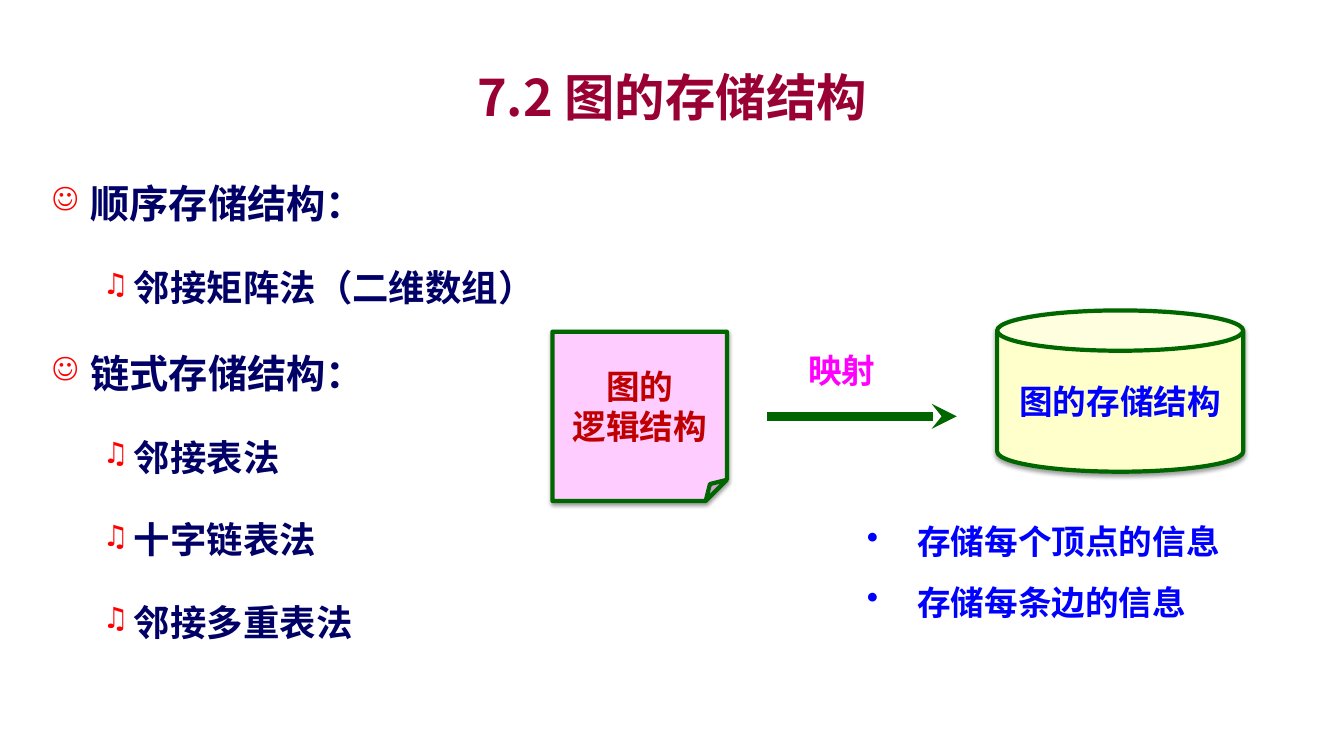
from lxml import etree
from pptx import Presentation
from pptx.dml.color import RGBColor
from pptx.enum.shapes import MSO_CONNECTOR, MSO_SHAPE
from pptx.enum.text import MSO_ANCHOR, PP_ALIGN
from pptx.oxml.ns import qn
from pptx.util import Inches, Pt

CRIMSON = RGBColor(0x99, 0x00, 0x33)
NAVY = RGBColor(0x00, 0x00, 0x66)
BLUE = RGBColor(0x00, 0x00, 0xFF)
DARK_RED = RGBColor(0xC0, 0x00, 0x00)
MAGENTA = RGBColor(0xFF, 0x00, 0xFF)
GREEN = RGBColor(0x00, 0x66, 0x00)
PINK = RGBColor(0xFF, 0xCC, 0xFF)
CREAM = RGBColor(0xFF, 0xFF, 0xCC)
RED = RGBColor(0xFF, 0x00, 0x00)
HEITI = "Noto Sans CJK SC"
TIMES = "Times New Roman"


def write_text(shape, text, size, color, font=TIMES, align=PP_ALIGN.CENTER):
    shape.text_frame.text = text
    for paragraph in shape.text_frame.paragraphs:
        paragraph.alignment = align
        for run in paragraph.runs:
            run.font.size = Pt(size)
            run.font.bold = True
            run.font.name = font
            run.font.color.rgb = color
            east_asian = etree.SubElement(run.font._element, qn("a:ea"))
            east_asian.set("typeface", HEITI)


def add_bullet(paragraph, character, margin, hanging, color=None, percent=100):
    properties = paragraph._p.get_or_add_pPr()
    properties.set("marL", str(Inches(margin)))
    properties.set("indent", str(-Inches(hanging)))
    if color is not None:
        bullet_color = etree.SubElement(properties, qn("a:buClr"))
        etree.SubElement(bullet_color, qn("a:srgbClr"), val=str(color))
    etree.SubElement(properties, qn("a:buSzPct"), val=str(percent * 1000))
    etree.SubElement(properties, qn("a:buChar"), char=character)


presentation = Presentation()
presentation.slide_width = Inches(13.33)
presentation.slide_height = Inches(7.5)
slide = presentation.slides.add_slide(presentation.slide_layouts[6])
shapes = slide.shapes

# Title
title = shapes.add_textbox(Inches(1), Inches(0.58), Inches(11.33), Inches(0.75))
title.text_frame.word_wrap = True
title.text_frame.vertical_anchor = MSO_ANCHOR.MIDDLE
write_text(title, "7.2 图的存储结构", 36, CRIMSON, HEITI)

# Outline of storage structures
outline = [
    (0, "顺序存储结构："),
    (1, "邻接矩阵法（二维数组）"),
    (0, "链式存储结构："),
    (1, "邻接表法"),
    (1, "十字链表法"),
    (1, "邻接多重表法"),
]
level_styles = [(28, "☺", 0.38, 0.38), (26, "♫", 0.81, 0.31)]
body = shapes.add_textbox(Inches(0.42), Inches(1.5), Inches(5.17), Inches(5.67))
body.text_frame.word_wrap = True
write_text(body, "\n".join(text for level, text in outline), 28, NAVY, HEITI, PP_ALIGN.LEFT)
for paragraph, (level, text) in zip(body.text_frame.paragraphs, outline):
    size, character, margin, hanging = level_styles[level]
    paragraph.level = level
    paragraph.line_spacing = 1.5
    paragraph.space_before = paragraph.space_after = Pt(6)
    paragraph.runs[0].font.size = Pt(size)
    add_bullet(paragraph, character, margin, hanging, RED, 80)

# What the storage structure keeps
details = shapes.add_textbox(Inches(8.5), Inches(4.92), Inches(4.14), Inches(1.24))
details.text_frame.word_wrap = True
write_text(details, "存储每个顶点的信息\n存储每条边的信息", 24, BLUE, align=PP_ALIGN.LEFT)
for paragraph in details.text_frame.paragraphs:
    paragraph.line_spacing = 1.5
    add_bullet(paragraph, "•", 0.5, 0.5)

# Logical structure note and storage structure drum
structures = [
    (MSO_SHAPE.FOLDED_CORNER, 5.48, 3.29, 1.73, 1.68, 12500, PINK, "图的\n逻辑结构", DARK_RED),
    (MSO_SHAPE.CAN, 9.89, 3.08, 2.44, 1.6, 25000, CREAM, "图的存储结构", BLUE),
]
for kind, left, top, width, height, adjustment, fill, text, color in structures:
    shape = shapes.add_shape(kind, Inches(left), Inches(top), Inches(width), Inches(height))
    geometry = shape._element.spPr.find(qn("a:prstGeom"))
    for guides in geometry.findall(qn("a:avLst")):
        geometry.remove(guides)
    guides = etree.SubElement(geometry, qn("a:avLst"))
    etree.SubElement(guides, qn("a:gd"), name="adj", fmla=f"val {adjustment}")
    shape.fill.solid()
    shape.fill.fore_color.rgb = fill
    shape.line.color.rgb = GREEN
    shape.line.width = Pt(3)
    shape.shadow.inherit = False
    effects = shape._element.spPr.find(qn("a:effectLst"))
    shadow = etree.SubElement(effects, qn("a:outerShdw"), blurRad=str(Pt(3.1)),
                              dist=str(Pt(1.6)), dir="5400000", rotWithShape="0")
    shadow_color = etree.SubElement(shadow, qn("a:srgbClr"), val="000000")
    etree.SubElement(shadow_color, qn("a:alpha"), val="38000")
    shape.text_frame.word_wrap = False
    shape.text_frame.vertical_anchor = MSO_ANCHOR.MIDDLE
    write_text(shape, text, 24, color)

# Mapping arrow and its label
arrow = shapes.add_connector(MSO_CONNECTOR.STRAIGHT, Inches(7.61), Inches(4.13),
                             Inches(9.49), Inches(4.13))
arrow.line.color.rgb = GREEN
arrow.line.width = Pt(6)
etree.SubElement(arrow.line._get_or_add_ln(), qn("a:tailEnd"), type="stealth")
etree.SubElement(arrow._element.spPr, qn("a:effectLst"))

label = shapes.add_textbox(Inches(7.68), Inches(3.42), Inches(1.34), Inches(0.5))
label.text_frame.word_wrap = True
write_text(label, "映射", 24, MAGENTA)

presentation.save("out.pptx")
